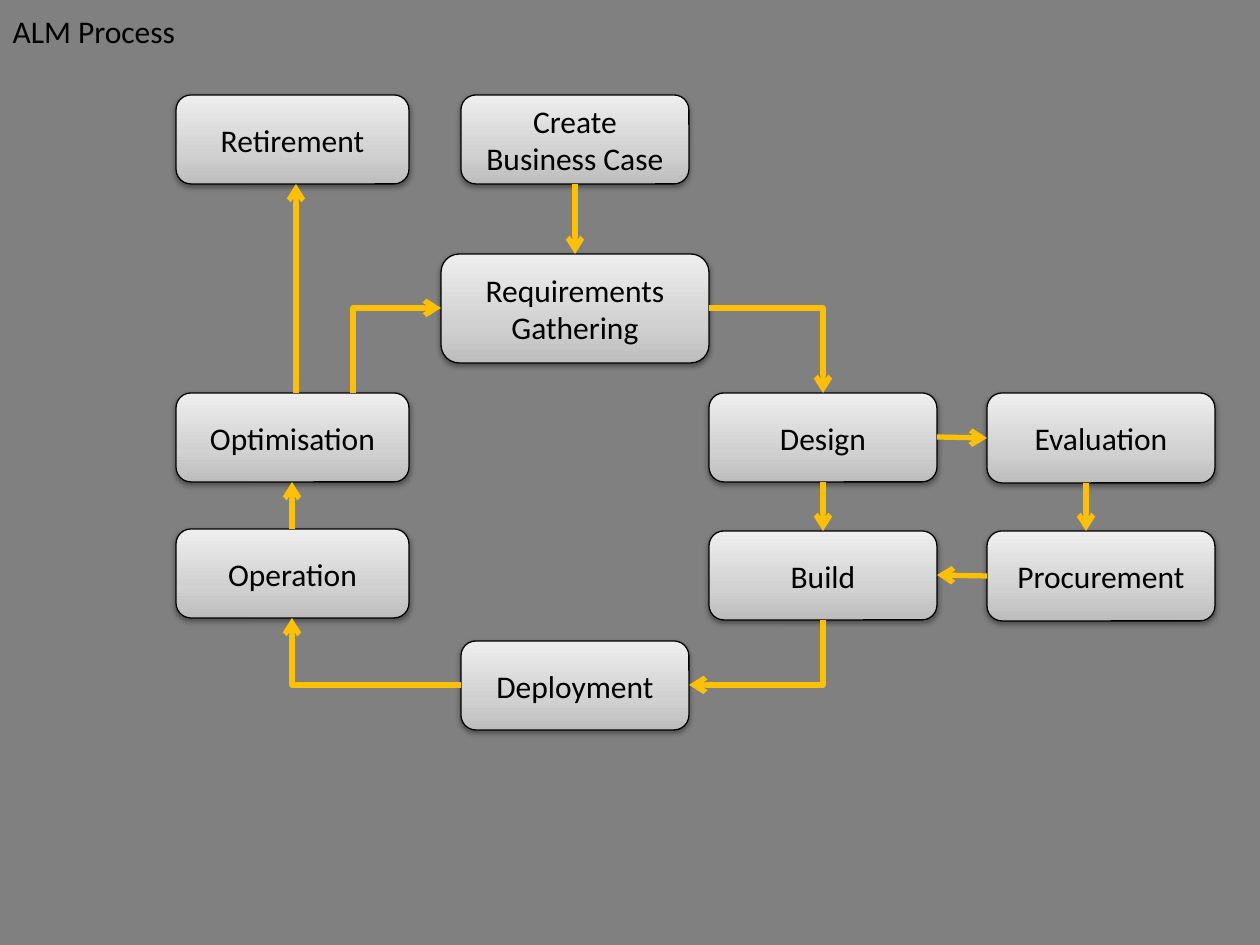
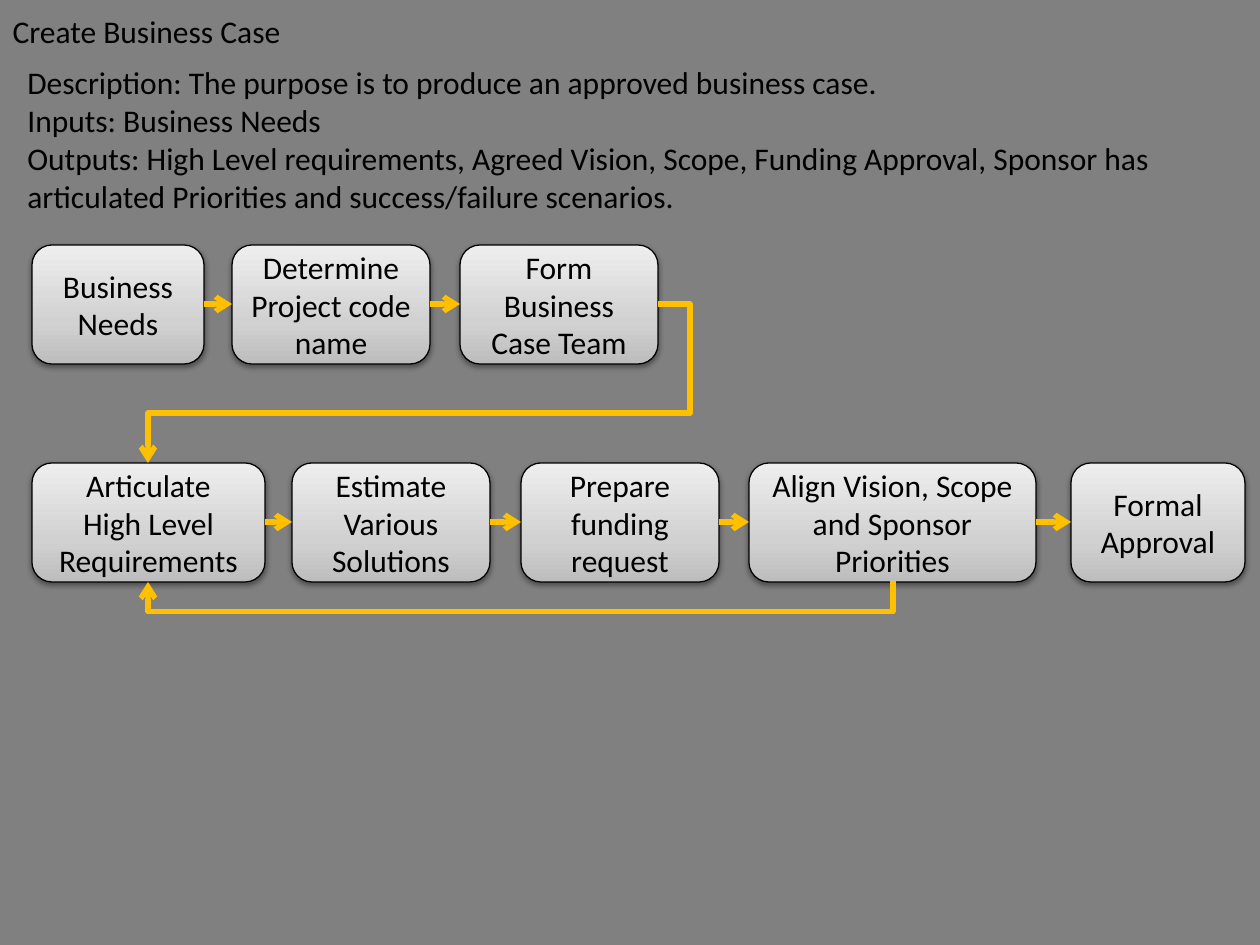
from dataclasses import dataclass
from itertools import pairwise

from lxml.etree import SubElement
from pptx import Presentation
from pptx.dml.color import RGBColor
from pptx.enum.shapes import MSO_CONNECTOR as Connector, MSO_SHAPE as Preset
from pptx.enum.text import MSO_ANCHOR as Anchor, MSO_AUTO_SIZE as AutoSize, PP_ALIGN as Align
from pptx.oxml.ns import qn
from pptx.slide import Slide
from pptx.text.text import TextFrame
from pptx.util import Emu, Inches, Pt

# Shared look
COLORS = {
    "background": "808080",
    "ink": "000000",
    "arrow": "FFC000",
    "box_bottom": "BDBDBD",
    "box_middle": "D1D1D1",
    "box_top": "EEEEEE",
}
BOX_STOPS = ((0, "box_bottom"), (35, "box_middle"), (100, "box_top"))
FONT = "Calibri"
PIXELS_PER_INCH = 126

Point = tuple[int, int]


@dataclass(frozen=True)
class Box:
    """A process step, in pixels, with the points where arrows meet it."""
    text: str
    x: int
    y: int
    w: int
    h: int

    @property
    def top(self) -> Point:
        return self.x + self.w // 2, self.y

    @property
    def bottom(self) -> Point:
        return self.x + self.w // 2, self.y + self.h

    @property
    def left(self) -> Point:
        return self.x, self.y + self.h // 2

    @property
    def right(self) -> Point:
        return self.x + self.w, self.y + self.h // 2


def px(pixels: float) -> Emu:
    return Emu(round(pixels * Inches(1) / PIXELS_PER_INCH))


def rgb(name: str) -> RGBColor:
    return RGBColor.from_string(COLORS[name])


def write(frame: TextFrame, text: str, *, align: Align = Align.LEFT, anchor: Anchor = Anchor.TOP,
          wrap: bool = True, size: int = 18, color: str = "ink") -> None:
    frame.text = text
    frame.auto_size = AutoSize.NONE
    frame.word_wrap = wrap
    frame.vertical_anchor = anchor
    for paragraph in frame.paragraphs:
        paragraph.alignment = align
        font = paragraph.font
        font.name, font.size = FONT, Pt(size)
        font.color.rgb = rgb(color)


def add_titled_slide(title: str, width: int) -> Slide:
    slide = prs.slides.add_slide(prs.slide_layouts.get_by_name("Title Only"))
    heading = slide.shapes.title
    heading.left, heading.top, heading.width, heading.height = px(0), px(6), px(width), px(50)
    write(heading.text_frame, title, wrap=False)
    return slide


def draw_box(slide: Slide, box: Box) -> None:
    shape = slide.shapes.add_shape(Preset.ROUNDED_RECTANGLE, px(box.x), px(box.y), px(box.w), px(box.h))
    shape.line.color.rgb = rgb("ink")
    shape.line.width = Pt(0.75)
    write(shape.text_frame, box.text, align=Align.CENTER, anchor=Anchor.MIDDLE)

    # Three-stop gradient, running upwards
    shape.fill.gradient()
    shape.fill.gradient_angle = 90
    properties = shape._element.spPr
    stops = properties.find(f".//{qn('a:gsLst')}")
    for old_stop in list(stops):
        stops.remove(old_stop)
    for percent, name in BOX_STOPS:
        stop = SubElement(stops, qn("a:gs"), pos=str(percent * 1000))
        SubElement(stop, qn("a:srgbClr"), val=COLORS[name])

    # Soft shadow straight below
    shape.shadow.inherit = False
    shadow = SubElement(properties.find(qn("a:effectLst")), qn("a:outerShdw"), blurRad=str(Pt(3.1)),
                        dist=str(Pt(1.6)), dir="5400000", rotWithShape="0")
    shade = SubElement(shadow, qn("a:srgbClr"), val=COLORS["ink"])
    SubElement(shade, qn("a:alpha"), val="38000")


def draw_arrow(slide: Slide, *route: Point) -> None:
    """Draw one connector through right-angled turns, arrowhead at the end."""
    start, end = route[0], route[-1]
    legs = len(route) - 1
    if legs == 1:
        arrow = slide.shapes.add_connector(Connector.STRAIGHT, *map(px, start + end))
    else:
        delta = end[0] - start[0], end[1] - start[1]
        first = 0 if route[1][1] == start[1] else 1  # axis of the first leg
        along, across = delta[first], delta[1 - first]
        w, h = abs(along), abs(across)
        x, y = (start[0] + end[0] - w) / 2, (start[1] + end[1] - h) / 2
        arrow = slide.shapes.add_connector(Connector.ELBOW, px(x), px(y), px(x + w), px(y + h))
        frame = arrow._element.spPr.find(qn("a:xfrm"))
        frame.set("rot", str(first * 5400000))
        frame.set("flipH", str(int(along < 0)))
        frame.set("flipV", str(int((across < 0) != (first == 1))))
        geometry = arrow._element.spPr.find(qn("a:prstGeom"))
        geometry.set("prst", f"bentConnector{legs}")
        adjustments = geometry.find(qn("a:avLst"))
        for turn in range(1, legs - 1):
            axis = (first + turn - 1) % 2
            ratio = (route[turn][axis] - start[axis]) / delta[axis]
            SubElement(adjustments, qn("a:gd"), name=f"adj{turn}", fmla=f"val {round(ratio * 100000)}")
    arrow.line.color.rgb = rgb("arrow")
    arrow.line.width = Pt(3)
    SubElement(arrow.line._get_or_add_ln(), qn("a:tailEnd"), type="arrow")
    SubElement(arrow._element.spPr, qn("a:effectLst"))


def draw_flow(slide: Slide, boxes: list[Box], routes: list[tuple[Point, ...]]) -> None:
    for box in boxes:
        draw_box(slide, box)
    for route in routes:
        draw_arrow(slide, *route)


def corner(across: Point, down: Point) -> Point:
    """The turn in the column of one point and the row of the other."""
    return across[0], down[1]


def row_of(steps: list[tuple[str, int, int]], y: int, h: int) -> list[Box]:
    return [Box(text, x, y, w, h) for text, x, w in steps]


prs = Presentation()
prs.slide_width, prs.slide_height = Inches(10), Inches(7.5)
backdrop = prs.slide_master.background.fill
backdrop.solid()
backdrop.fore_color.rgb = rgb("background")

# Slide 1: the life cycle
STEP_H = 89
retirement, optimisation, operation = (
    Box(text, 176, y, 233, STEP_H)
    for text, y in (("Retirement", 95), ("Optimisation", 393), ("Operation", 529)))
business_case, deployment = (
    Box(text, 461, y, 228, STEP_H) for text, y in (("Create Business Case", 95), ("Deployment", 641)))
design, build = (Box(text, 709, y, 228, STEP_H) for text, y in (("Design", 393), ("Build", 531)))
evaluation, procurement = (
    Box(text, 987, y, 228, 90) for text, y in (("Evaluation", 393), ("Procurement", 531)))
requirements = Box("Requirements Gathering", 441, 254, 268, 109)

RETIRE_X, REPEAT_X, PROCURE_X = 296, 353, 1086
repeat_start = (REPEAT_X, optimisation.y)
process = add_titled_slide("ALM Process", 189)
draw_flow(
    process,
    [business_case, requirements, procurement, build, deployment, retirement,
     optimisation, operation, design, evaluation],
    [
        (business_case.bottom, requirements.top),
        (requirements.right, corner(design.top, requirements.right), design.top),
        (design.right, evaluation.left),
        (design.bottom, build.top),
        ((PROCURE_X, evaluation.bottom[1]), (PROCURE_X, procurement.y)),
        (procurement.left, build.right),
        (build.bottom, corner(build.bottom, deployment.right), deployment.right),
        (deployment.left, corner(operation.bottom, deployment.left), operation.bottom),
        (operation.top, optimisation.bottom),
        ((RETIRE_X, optimisation.y), (RETIRE_X, retirement.bottom[1])),
        (repeat_start, corner(repeat_start, requirements.left), requirements.left),
    ],
)

# Slide 2: the business case step in detail
detail = add_titled_slide("Create Business Case", 296)
summary = detail.shapes.add_textbox(px(15), px(57), px(1152), px(165))
write(summary.text_frame,
      "Description: The purpose is to produce an approved business case.\n"
      "Inputs: Business Needs\n"
      "Outputs: High Level requirements, Agreed Vision, Scope, Funding Approval, "
      "Sponsor has articulated Priorities and success/failure scenarios.")

preparation = row_of([
    ("Business Needs", 32, 172),
    ("Determine\nProject code name", 232, 198),
    ("Form Business Case Team", 460, 198),
], 245, 119)
approval = row_of([
    ("Articulate\nHigh Level Requirements", 32, 233),
    ("Estimate Various Solutions", 292, 198),
    ("Prepare funding request", 521, 198),
    ("Align Vision, Scope and Sponsor Priorities", 749, 287),
    ("Formal Approval", 1071, 174),
], 463, 119)
team, articulate, alignment = preparation[-1], approval[0], approval[3]

TURN_X, DOWN_Y, BACK_Y = 690, 413, 612
align_exit = (alignment.bottom[0] + 1, alignment.bottom[1] - 1)
draw_flow(
    detail,
    preparation + approval,
    [(step.right, following.left)
     for row in (preparation, approval) for step, following in pairwise(row)]
    + [
        (team.right, (TURN_X, team.right[1]), (TURN_X, DOWN_Y),
         (articulate.top[0], DOWN_Y), articulate.top),
        (align_exit, (align_exit[0], BACK_Y), (articulate.bottom[0], BACK_Y), articulate.bottom),
    ],
)

prs.save("out.pptx")
